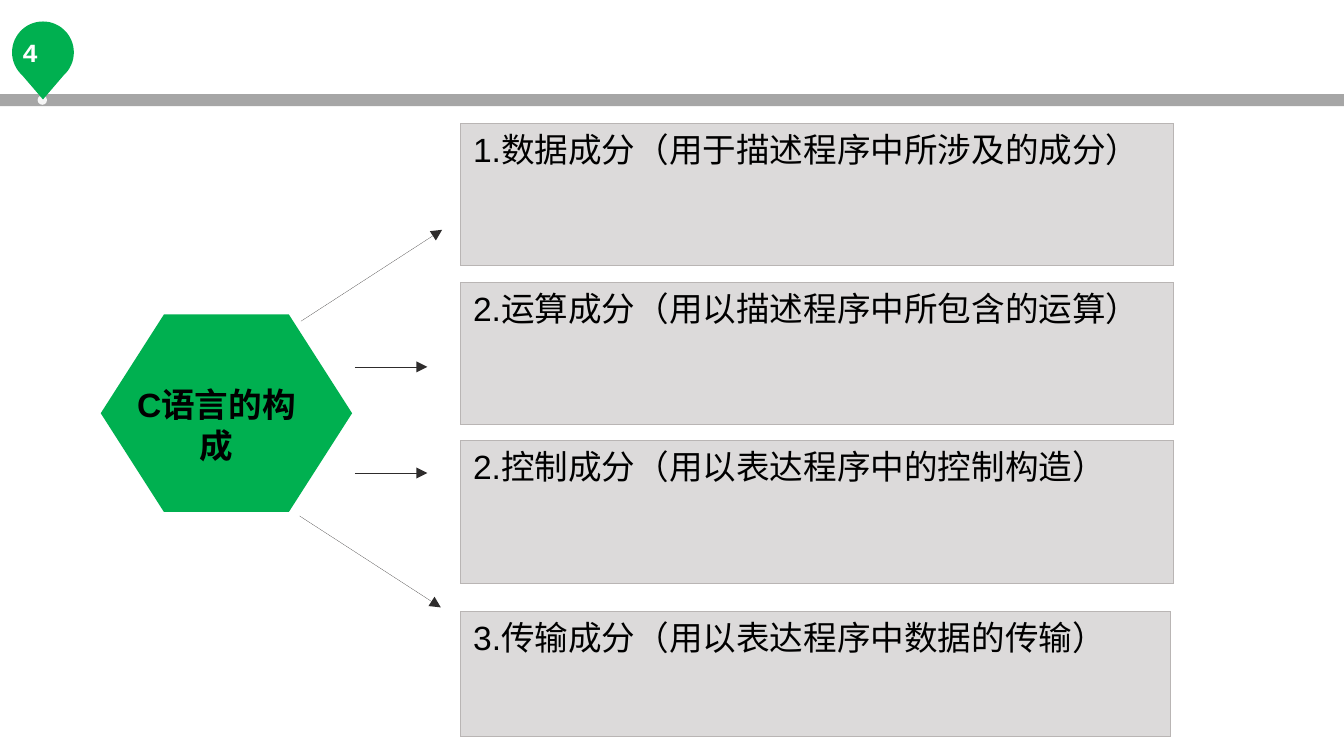
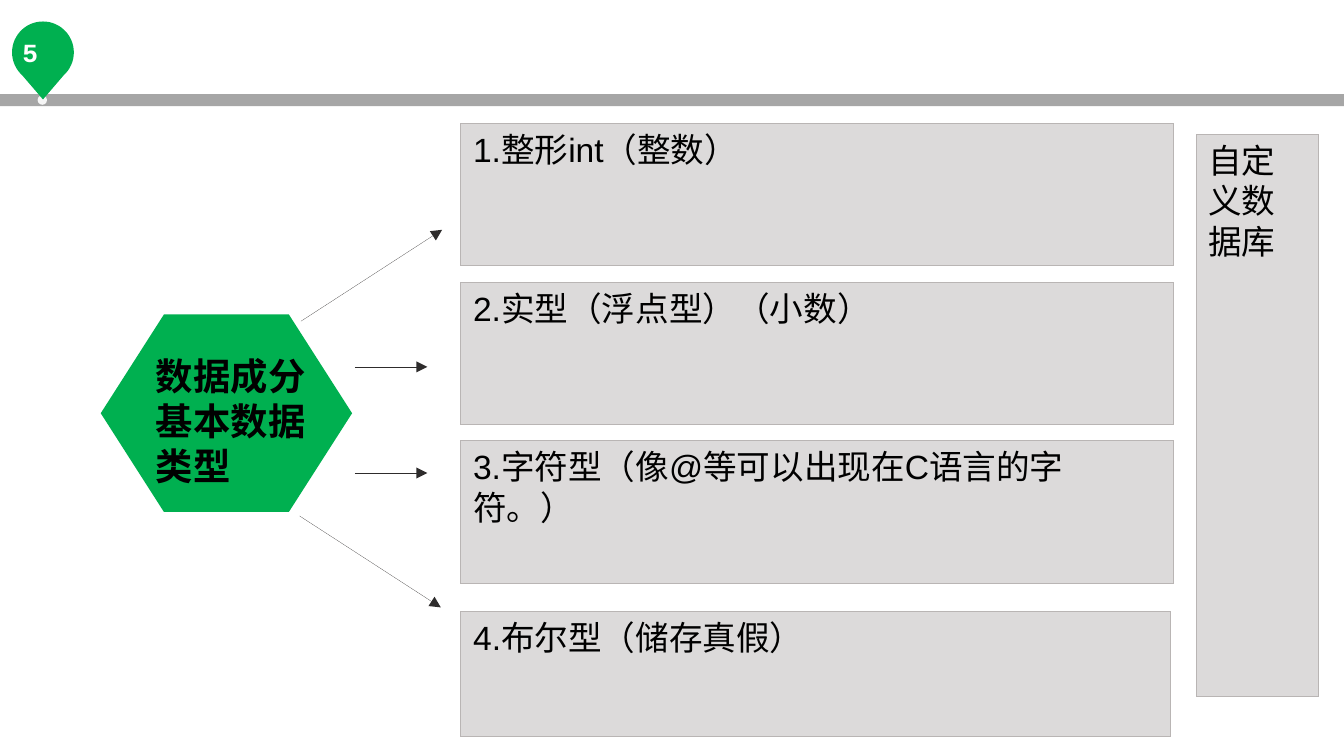
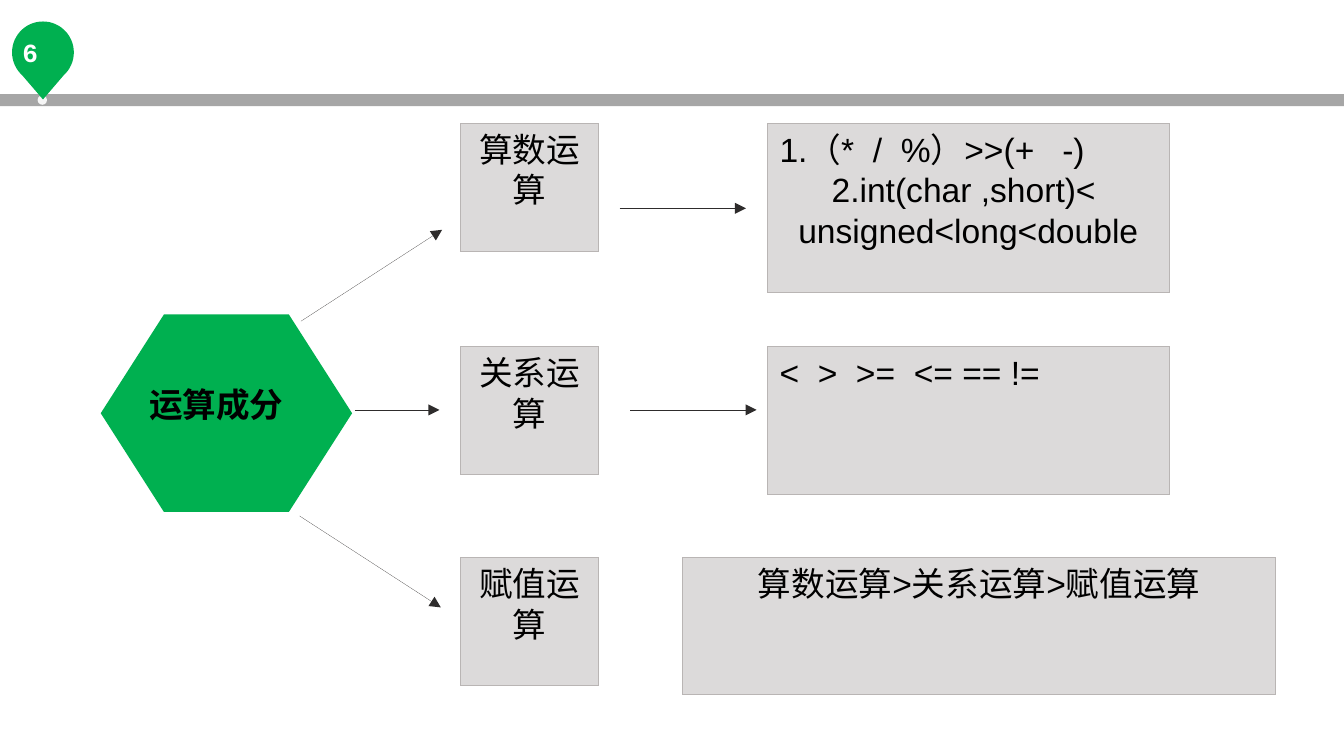
from dataclasses import dataclass
from math import cos, radians, sin
from typing import Any

from lxml.etree import SubElement
from pptx import Presentation
from pptx.dml.color import RGBColor
from pptx.enum.shapes import MSO_CONNECTOR, MSO_SHAPE
from pptx.enum.text import MSO_ANCHOR, MSO_AUTO_SIZE, PP_ALIGN
from pptx.oxml.ns import qn
from pptx.util import Inches, Pt


@dataclass(frozen=True)
class Theme:
    green: RGBColor = RGBColor(0x00, 0xB0, 0x50)
    band: RGBColor = RGBColor(0xA6, 0xA6, 0xA6)
    dot: RGBColor = RGBColor(0xF6, 0xF6, 0xF6)
    panel: RGBColor = RGBColor(0xDC, 0xDA, 0xDA)
    border: RGBColor = RGBColor(0xB9, 0xB5, 0xB4)
    arrow: RGBColor = RGBColor(0x2E, 0x2C, 0x2C)
    ink: RGBColor = RGBColor(0, 0, 0)
    white: RGBColor = RGBColor(0xFF, 0xFF, 0xFF)
    font: str = "Arial"
    number_font: str = "Courier New"
    body_size: int = 18
    large_size: int = 20
    number_size: int = 14
    hairline: float = 0.01


@dataclass(frozen=True)
class Area:
    left: float
    top: float
    width: float
    height: float

    def lengths(self) -> list[int]:
        return [Inches(value) for value in (self.left, self.top, self.width, self.height)]


@dataclass(frozen=True)
class Panel:
    area: Area
    lines: tuple[str, ...]
    aligns: tuple[PP_ALIGN, ...] = (PP_ALIGN.LEFT,)


@dataclass(frozen=True)
class Arrow:
    x1: float
    y1: float
    x2: float
    y2: float


@dataclass(frozen=True)
class Label:
    text: str
    area: Area
    size: int
    align: PP_ALIGN = PP_ALIGN.CENTER
    fit: MSO_AUTO_SIZE = MSO_AUTO_SIZE.SHAPE_TO_FIT_TEXT


@dataclass(frozen=True)
class Page:
    number: int
    label: Label
    panels: list[Panel]
    arrows: list[Arrow]


THEME = Theme()
CENTER = (PP_ALIGN.CENTER,)
PANEL_LEFT, PANEL_TOP = 3.43, 0.92
OUTER_ARROWS = [Arrow(2.24, 2.39, 3.29, 1.71), Arrow(2.23, 3.84, 3.28, 4.52)]
FOUR_ARROWS = OUTER_ARROWS + [Arrow(2.64, y, 3.18, y) for y in (2.73, 3.52)]
PANEL_FRAME = {
    "word_wrap": True, "vertical_anchor": MSO_ANCHOR.TOP,
    "margin_left": Inches(0.09), "margin_right": Inches(0.09),
    "margin_top": Inches(0.04), "margin_bottom": Inches(0.04),
}


def apply(target: Any, values: dict[str, Any]) -> None:
    for name, value in values.items():
        setattr(target, name, value)


def write(para: Any, text: str, align: PP_ALIGN, size: int, bold: bool = False,
          color: RGBColor = THEME.ink, font: str = THEME.font) -> None:
    para.alignment = align
    span = para.add_run()
    span.text = text
    apply(span.font, {"name": font, "size": Pt(size), "bold": bold})
    span.font.color.rgb = color


def paint(shape: Any, color: RGBColor) -> None:
    shape.shadow.inherit = False
    shape.fill.solid()
    shape.fill.fore_color.rgb = color
    shape.line.fill.background()


def draw_hairline(line: Any, color: RGBColor) -> None:
    line.color.rgb = color
    line.width = Pt(THEME.hairline)


def add_solid(slide: Any, kind: MSO_SHAPE, area: Area, color: RGBColor) -> Any:
    shape = slide.shapes.add_shape(kind, *area.lengths())
    paint(shape, color)
    return shape


def add_pin(slide: Any) -> None:
    """Draw a round marker whose lower side narrows to a tip on the band."""
    center_x, center_y, radius = 0.32, 0.39, 0.23
    outline = [
        (Inches(center_x + radius * cos(radians(angle))),
         Inches(center_y + radius * sin(radians(angle))))
        for angle in range(132, 409, 6)
    ]
    builder = slide.shapes.build_freeform(Inches(center_x), Inches(0.74))
    builder.add_line_segments(outline, close=True)
    paint(builder.convert_to_shape(), THEME.green)


def add_header(slide: Any, number: int) -> None:
    add_solid(slide, MSO_SHAPE.RECTANGLE, Area(0, 0.7, 10, 0.09), THEME.band)
    add_solid(slide, MSO_SHAPE.OVAL, Area(0.28, 0.71, 0.07, 0.07), THEME.dot)
    add_pin(slide)
    box = slide.shapes.add_textbox(*Area(-0.04, 0.23, 0.65, 0.3).lengths())
    apply(box.text_frame, PANEL_FRAME | {"margin_left": Inches(0.07), "margin_right": Inches(0.19)})
    write(box.text_frame.paragraphs[0], str(number), PP_ALIGN.CENTER, THEME.number_size,
          True, THEME.white, THEME.number_font)


def add_label(slide: Any, label: Label) -> None:
    """Set the slide title over a green hexagon."""
    hexagon = add_solid(slide, MSO_SHAPE.HEXAGON, Area(0.75, 2.34, 1.87, 1.47), THEME.green)
    hexagon.adjustments[0] = 0.32
    title = slide.shapes.title
    hexagon.element.addnext(title.element)
    left, top, width, height = label.area.lengths()
    apply(title, {"left": left, "top": top, "width": width, "height": height})
    apply(title.text_frame, {"word_wrap": True, "vertical_anchor": MSO_ANCHOR.TOP,
                             "auto_size": label.fit})
    write(title.text_frame.paragraphs[0], label.text, label.align, label.size, True)


def add_panel(slide: Any, panel: Panel) -> None:
    shape = add_solid(slide, MSO_SHAPE.RECTANGLE, panel.area, THEME.panel)
    draw_hairline(shape.line, THEME.border)
    frame = shape.text_frame
    apply(frame, PANEL_FRAME)
    for index, (text, align) in enumerate(zip(panel.lines, panel.aligns)):
        para = frame.add_paragraph() if index else frame.paragraphs[0]
        write(para, text, align, THEME.body_size)


def add_arrow(slide: Any, arrow: Arrow) -> None:
    ends = [Inches(value) for value in (arrow.x1, arrow.y1, arrow.x2, arrow.y2)]
    connector = slide.shapes.add_connector(MSO_CONNECTOR.STRAIGHT, *ends)
    draw_hairline(connector.line, THEME.arrow)
    properties = connector.element.spPr
    SubElement(properties.find(qn("a:ln")), qn("a:tailEnd"), type="triangle")
    SubElement(properties, qn("a:effectLst"))


def stack(*texts: str) -> list[Panel]:
    """Place three evenly spaced panels and a lower closing one."""
    areas = [Area(PANEL_LEFT, PANEL_TOP + 1.18 * row, 5.3, 1.06) for row in range(3)]
    areas.append(Area(PANEL_LEFT, 4.55, 5.28, 0.93))
    return [Panel(area, (text,)) for area, text in zip(areas, texts)]


def operator_panels() -> list[Panel]:
    tops = (PANEL_TOP, 2.58, 4.15)
    names = ("算数运算", "关系运算", "赋值运算")
    kinds = [Panel(Area(PANEL_LEFT, top, 1.02, 0.95), (name,), CENTER)
             for top, name in zip(tops, names)]
    return kinds + [
        Panel(Area(5.71, tops[0], 2.99, 1.26),
              ("1.（*  /  %）>>(+   -)", "2.int(char ,short)<  unsigned<long<double"),
              (PP_ALIGN.LEFT, PP_ALIGN.CENTER)),
        Panel(Area(5.71, tops[1], 2.99, 1.1), ("<  >  >=  <= == !=",)),
        Panel(Area(5.08, tops[2], 4.41, 1.02), (">".join(names),), CENTER),
    ]


PAGES = [
    Page(4, Label("C语言的构成", Area(0.9, 2.81, 1.42, 0.7), THEME.body_size),
         stack("1.数据成分（用于描述程序中所涉及的成分）",
               "2.运算成分（用以描述程序中所包含的运算）",
               "2.控制成分（用以表达程序中的控制构造）",
               "3.传输成分（用以表达程序中数据的传输）"),
         FOUR_ARROWS),
    Page(5, Label("数据成分基本数据类型", Area(1.06, 2.58, 1.5, 0.79), THEME.large_size,
                  PP_ALIGN.LEFT, MSO_AUTO_SIZE.NONE),
         stack("1.整形int（整数）",
               "2.实型（浮点型）（小数）",
               "3.字符型（像@等可以出现在C语言的字符。）",
               "4.布尔型（储存真假）")
         + [Panel(Area(8.9, 1, 0.91, 4.18), ("自定义数据库",))],
         FOUR_ARROWS),
    Page(6, Label("运算成分", Area(0.9, 2.81, 1.42, 0.4), THEME.body_size),
         operator_panels(),
         OUTER_ARROWS + [Arrow(2.64, 3.05, 3.27, 3.05), Arrow(4.61, 1.55, 5.55, 1.55),
                         Arrow(4.69, 3.05, 5.63, 3.05)]),
]


def main() -> None:
    deck = Presentation()
    deck.slide_width = Inches(10)
    deck.slide_height = deck.slide_width * 9 // 16
    title_only = deck.slide_layouts[5]
    for page in PAGES:
        slide = deck.slides.add_slide(title_only)
        add_header(slide, page.number)
        add_label(slide, page.label)
        for panel in page.panels:
            add_panel(slide, panel)
        for arrow in page.arrows:
            add_arrow(slide, arrow)
    deck.save("out.pptx")


if __name__ == "__main__":
    main()
